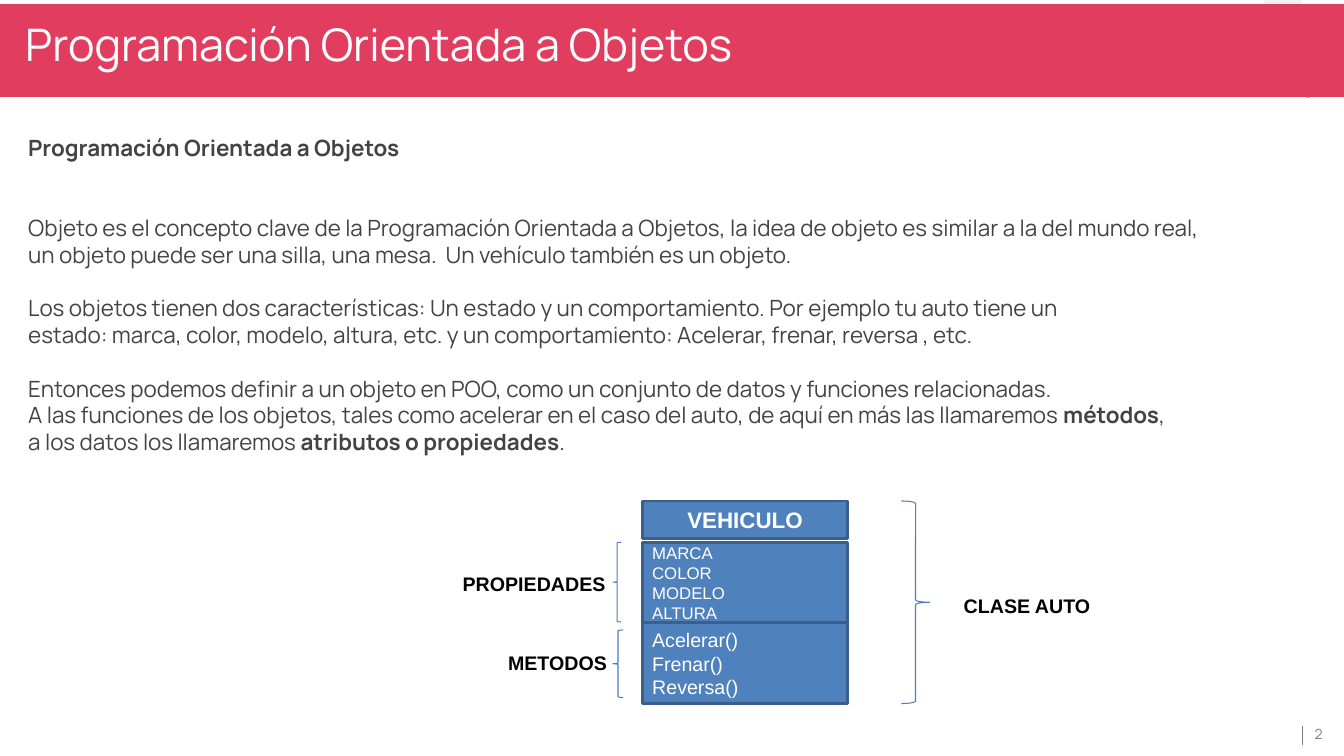
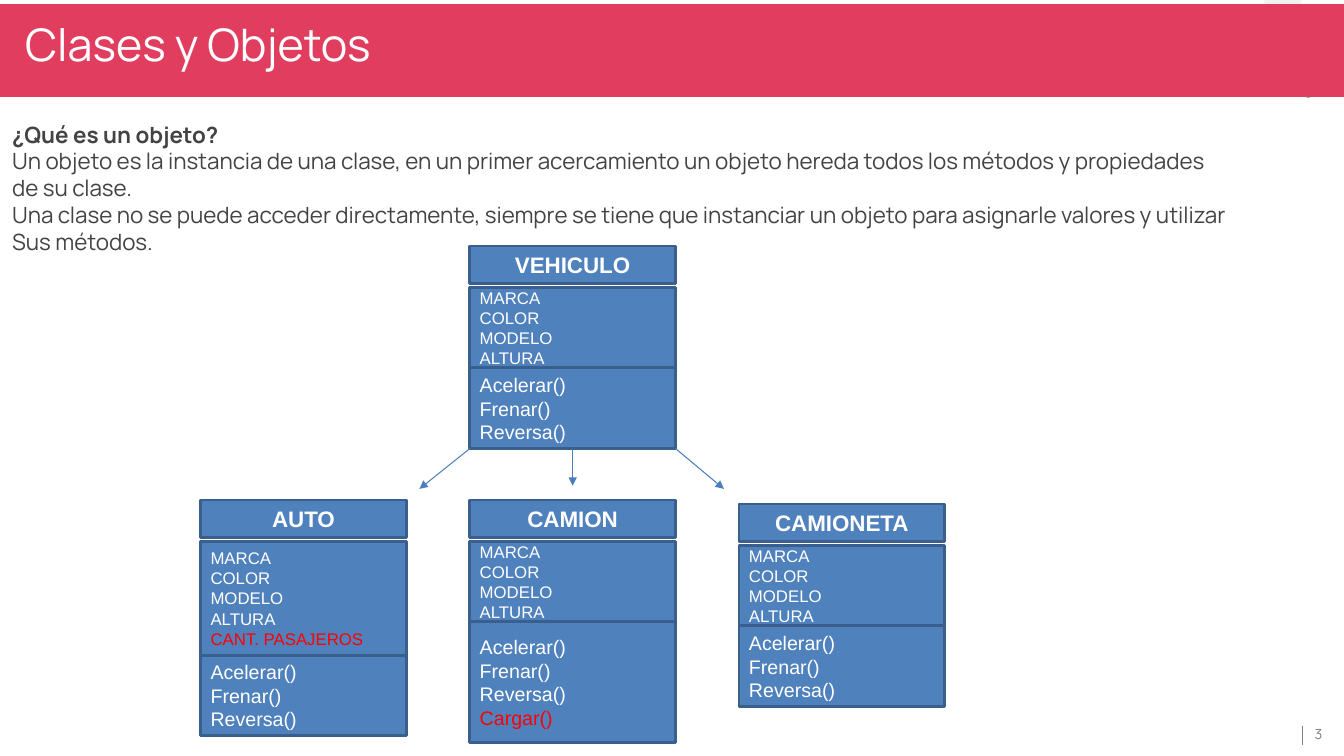
from dataclasses import dataclass
from typing import Sequence

import pptx
import pptx.dml.color
import pptx.enum.dml
import pptx.enum.shapes
import pptx.enum.text
import pptx.oxml.ns
import pptx.shapes.autoshape
import pptx.shapes.connector
import pptx.slide
import pptx.text.text
import pptx.util
from lxml import etree

Inches = pptx.util.Inches
Pt = pptx.util.Pt
Preset = pptx.enum.shapes.MSO_SHAPE
Anchor = pptx.enum.text.MSO_ANCHOR
Align = pptx.enum.text.PP_ALIGN


@dataclass(frozen=True)
class Theme:
    band: str = "E13D5E"
    ornament: str = "F2F2F2"
    accent: str = "32AAAF"
    white: str = "FFFFFF"
    black: str = "000000"
    body: str = "434343"
    footer: str = "7F7F7F"
    box: str = "4F81BD"
    box_border: str = "3A5F8C"
    stroke: str = "4B7EBC"
    added: str = "FF0000"
    text_font: str = "Manrope"
    diagram_font: str = "Arial"
    title_size: float = 32
    body_size: float = 16
    body_leading: float = 19.1
    class_size: float = 16
    method_size: float = 14
    attribute_size: float = 12
    label_size: float = 14
    footer_size: float = 10


THEME = Theme()


@dataclass(frozen=True)
class Rect:
    left: float
    top: float
    width: float
    height: float


@dataclass(frozen=True)
class Run:
    text: str
    bold: bool = False


@dataclass(frozen=True)
class Paragraph:
    runs: tuple[Run, ...]
    lines_before: int = 0


@dataclass(frozen=True)
class ClassBox:
    name: str
    left: float
    top: float
    added_attribute: str = ""
    added_method: str = ""
    attributes_height: float = 0.8
    methods_height: float = 0.8


@dataclass(frozen=True)
class Label:
    text: str
    area: Rect


@dataclass(frozen=True)
class Brace:
    preset: Preset
    area: Rect


@dataclass(frozen=True)
class Arrow:
    start: tuple[float, float]
    end: tuple[float, float]


BOX_WIDTH = 2.04
NAME_HEIGHT = 0.37
NAME_STEP = 0.41
COLUMN_STEP = 2.67
FIRST_COLUMN = 1.99
ATTRIBUTES = ("MARCA", "COLOR", "MODELO", "ALTURA")
METHODS = ("Acelerar()", "Frenar()", "Reversa()")

CONCEPT = (
    Paragraph((Run("Programación Orientada a Objetos", True),)),
    Paragraph((Run("Objeto es el concepto clave de la Programación Orientada a Objetos, la idea de objeto es similar a la del mundo real,"),), 2),
    Paragraph((Run("un objeto puede ser una silla, una mesa.  Un vehículo también es un objeto."),)),
    Paragraph((Run("Los objetos tienen dos características: Un estado y un comportamiento. Por ejemplo tu auto tiene un"),), 1),
    Paragraph((Run("estado: marca, color, modelo, altura, etc. y un comportamiento: Acelerar, frenar, reversa , etc."),)),
    Paragraph((Run("Entonces podemos definir a un objeto en POO, como un conjunto de datos y funciones relacionadas."),), 1),
    Paragraph((
        Run("A las funciones de los objetos, tales como acelerar en el caso del auto, de aquí en más las llamaremos "),
        Run("métodos", True),
        Run(","),
    )),
    Paragraph((
        Run("a los datos los llamaremos "),
        Run("atributos o propiedades", True),
        Run("."),
    )),
)
INSTANCE = (
    Paragraph((Run("¿Qué es un objeto?", True),)),
    Paragraph((Run("Un objeto es la instancia de una clase, en un primer acercamiento un objeto hereda todos los métodos y propiedades"),)),
    Paragraph((Run("de su clase."),)),
    Paragraph((Run("Una clase no se puede acceder directamente, siempre se tiene que instanciar un objeto para asignarle valores y utilizar"),)),
    Paragraph((Run("Sus métodos."),)),
)

BRACES = (
    Brace(Preset.RIGHT_BRACE, Rect(8.94, 4.97, 0.28, 2.01)),
    Brace(Preset.LEFT_BRACE, Rect(6.08, 6.25, 0.1, 0.67)),
    Brace(Preset.LEFT_BRACE, Rect(6.08, 5.38, 0.08, 0.79)),
)
LABELS = (
    Label("CLASE AUTO", Rect(9.46, 5.84, 1.48, 0.34)),
    Label("PROPIEDADES", Rect(4.49, 5.62, 1.63, 0.34)),
    Label("METODOS", Rect(4.94, 6.41, 1.19, 0.34)),
)
VEHICLE = ClassBox("VEHICULO", 6.37, 4.97)
PARENT = ClassBox("VEHICULO", FIRST_COLUMN + COLUMN_STEP, 2.44)
CHILDREN = (
    ClassBox("AUTO", FIRST_COLUMN, 4.96, added_attribute="CANT. PASAJEROS", attributes_height=1.13),
    ClassBox("CAMION", FIRST_COLUMN + COLUMN_STEP, 4.96, added_method="Cargar()", methods_height=1.2),
    ClassBox("CAMIONETA", FIRST_COLUMN + 2 * COLUMN_STEP, 5),
)
INHERITANCE = (
    Arrow((5.68, 4.45), (5.68, 4.82)),
    Arrow((4.66, 4.45), (4.16, 4.85)),
    Arrow((6.7, 4.45), (7.18, 4.85)),
)


def rgb(color: str) -> pptx.dml.color.RGBColor:
    return pptx.dml.color.RGBColor.from_string(color)


def lengths(area: Rect) -> tuple[pptx.util.Length, ...]:
    return Inches(area.left), Inches(area.top), Inches(area.width), Inches(area.height)


def place(shape: pptx.shapes.autoshape.Shape, area: Rect) -> None:
    shape.left, shape.top, shape.width, shape.height = lengths(area)


def set_frame(frame: pptx.text.text.TextFrame, margins: Sequence[float],
              anchor: Anchor = Anchor.TOP, wrap: bool = True) -> None:
    frame.auto_size = pptx.enum.text.MSO_AUTO_SIZE.NONE
    frame.word_wrap = wrap
    frame.vertical_anchor = anchor
    frame.margin_left, frame.margin_top, frame.margin_right, frame.margin_bottom = map(Inches, margins)


def add_run(paragraph: pptx.text.text._Paragraph, text: str, font: str, size: float,
            color: str, bold: bool = False) -> None:
    run = paragraph.add_run()
    run.text = text
    run.font.name = font
    run.font.size = Pt(size)
    run.font.bold = bold
    run.font.color.rgb = rgb(color)


def add_shape(slide: pptx.slide.Slide, preset: Preset, area: Rect, fill: str = "",
              line: str = "", weight: float = 0) -> pptx.shapes.autoshape.Shape:
    shape = slide.shapes.add_shape(preset, *lengths(area))
    shape.shadow.inherit = False
    if fill:
        shape.fill.solid()
        shape.fill.fore_color.rgb = rgb(fill)
    else:
        shape.fill.background()
    if line:
        shape.line.color.rgb = rgb(line)
        shape.line.width = Pt(weight)
    else:
        shape.line.fill.background()
    return shape


def add_line(slide: pptx.slide.Slide, course: Arrow, color: str,
             weight: float) -> pptx.shapes.connector.Connector:
    line = slide.shapes.add_connector(pptx.enum.shapes.MSO_CONNECTOR.STRAIGHT,
                                      *map(Inches, course.start + course.end))
    line.line.color.rgb = rgb(color)
    line.line.width = Pt(weight)
    etree.SubElement(line.element.spPr, pptx.oxml.ns.qn("a:effectLst"))
    return line


def add_arrow(slide: pptx.slide.Slide, arrow: Arrow) -> None:
    stem = add_line(slide, arrow, THEME.stroke, 0.75)
    etree.SubElement(stem.line._get_or_add_ln(), pptx.oxml.ns.qn("a:tailEnd"), type="triangle")


def add_text(slide: pptx.slide.Slide, area: Rect) -> pptx.text.text.TextFrame:
    return slide.shapes.add_textbox(*lengths(area)).text_frame


def add_compartment(slide: pptx.slide.Slide, area: Rect, entries: Sequence[str], size: float,
                    added: str = "", heading: bool = False) -> None:
    compartment = add_shape(slide, Preset.RECTANGLE, area, THEME.box, THEME.box_border, 2)
    frame = compartment.text_frame
    set_frame(frame, (0.1, 0.05, 0.1, 0.05), Anchor.MIDDLE)
    colored = [(entry, THEME.white) for entry in entries]
    if added:
        colored.append((added, THEME.added))
    for index, (entry, color) in enumerate(colored):
        paragraph = frame.add_paragraph() if index else frame.paragraphs[0]
        paragraph.alignment = Align.CENTER if heading else Align.LEFT
        add_run(paragraph, entry, THEME.diagram_font, size, color, heading)


def add_class(slide: pptx.slide.Slide, box: ClassBox) -> None:
    attributes_top = box.top + NAME_STEP
    methods_top = attributes_top + box.attributes_height
    add_compartment(slide, Rect(box.left, box.top, BOX_WIDTH, NAME_HEIGHT),
                    (box.name,), THEME.class_size, heading=True)
    add_compartment(slide, Rect(box.left, attributes_top, BOX_WIDTH, box.attributes_height),
                    ATTRIBUTES, THEME.attribute_size, box.added_attribute)
    add_compartment(slide, Rect(box.left, methods_top, BOX_WIDTH, box.methods_height),
                    METHODS, THEME.method_size, box.added_method)


def add_label(slide: pptx.slide.Slide, label: Label) -> None:
    frame = add_text(slide, label.area)
    set_frame(frame, (0.1, 0.05, 0.1, 0.05), wrap=False)
    add_run(frame.paragraphs[0], label.text, THEME.diagram_font, THEME.label_size, THEME.black, True)


def fill_title(slide: pptx.slide.Slide, text: str) -> None:
    title = slide.shapes.title
    place(title, Rect(-0.03, 0.04, 13.39, 0.92))
    title.fill.solid()
    title.fill.fore_color.rgb = rgb(THEME.band)
    set_frame(title.text_frame, (0.28, 0.13, 0.13, 0.13))
    heading = title.text_frame.paragraphs[0]
    heading.alignment = Align.LEFT
    add_run(heading, text, THEME.text_font, THEME.title_size, THEME.white)
    title.element.getparent().append(title.element)


def fill_body(slide: pptx.slide.Slide, area: Rect, paragraphs: Sequence[Paragraph]) -> None:
    body = slide.placeholders[1]
    place(body, area)
    frame = body.text_frame
    set_frame(frame, (0, 0, 0, 0))
    for index, content in enumerate(paragraphs):
        paragraph = frame.add_paragraph() if index else frame.paragraphs[0]
        paragraph.line_spacing = Pt(THEME.body_leading)
        paragraph.space_before = Pt(THEME.body_leading * content.lines_before)
        properties = paragraph._p.get_or_add_pPr()
        properties.set("marL", "0")
        properties.set("indent", "0")
        etree.SubElement(properties, pptx.oxml.ns.qn("a:buNone"))
        for run in content.runs:
            add_run(paragraph, run.text, THEME.text_font, THEME.body_size, THEME.body, run.bold)


def add_content_slide(deck: pptx.presentation.Presentation, number: int, title: str,
                      body_area: Rect, paragraphs: Sequence[Paragraph]) -> pptx.slide.Slide:
    slide = deck.slides.add_slide(deck.slide_layouts[1])
    add_shape(slide, Preset.RECTANGLE, Rect(12.54, 0, 0.37, 0.1), THEME.ornament)
    add_shape(slide, Preset.OVAL, Rect(12.93, 0.88, 0.09, 0.09), THEME.accent)
    fill_title(slide, title)
    fill_body(slide, body_area, paragraphs)
    add_line(slide, Arrow((12.92, 7.2), (12.92, 7.39)), THEME.footer, 1)
    page = add_text(slide, Rect(13, 7.14, 0.33, 0.28))
    set_frame(page, (0.04, 0.04, 0.04, 0.04), Anchor.MIDDLE)
    add_run(page.paragraphs[0], str(number), THEME.text_font, THEME.footer_size, THEME.footer)
    return slide


def main() -> None:
    deck = pptx.Presentation()
    deck.slide_width, deck.slide_height = Inches(13.33), Inches(7.5)

    concept = add_content_slide(deck, 2, "Programación Orientada a Objetos",
                                Rect(0.28, 1.33, 12.17, 3.2), CONCEPT)
    add_class(concept, VEHICLE)
    for brace in BRACES:
        add_shape(concept, brace.preset, brace.area, line=THEME.stroke, weight=0.75)
    for label in LABELS:
        add_label(concept, label)

    inheritance = add_content_slide(deck, 3, "Clases y Objetos",
                                    Rect(0.12, 1.2, 12.38, 1.34), INSTANCE)
    for box in (PARENT, *CHILDREN):
        add_class(inheritance, box)
    for arrow in INHERITANCE:
        add_arrow(inheritance, arrow)

    deck.save("out.pptx")


if __name__ == "__main__":
    main()
